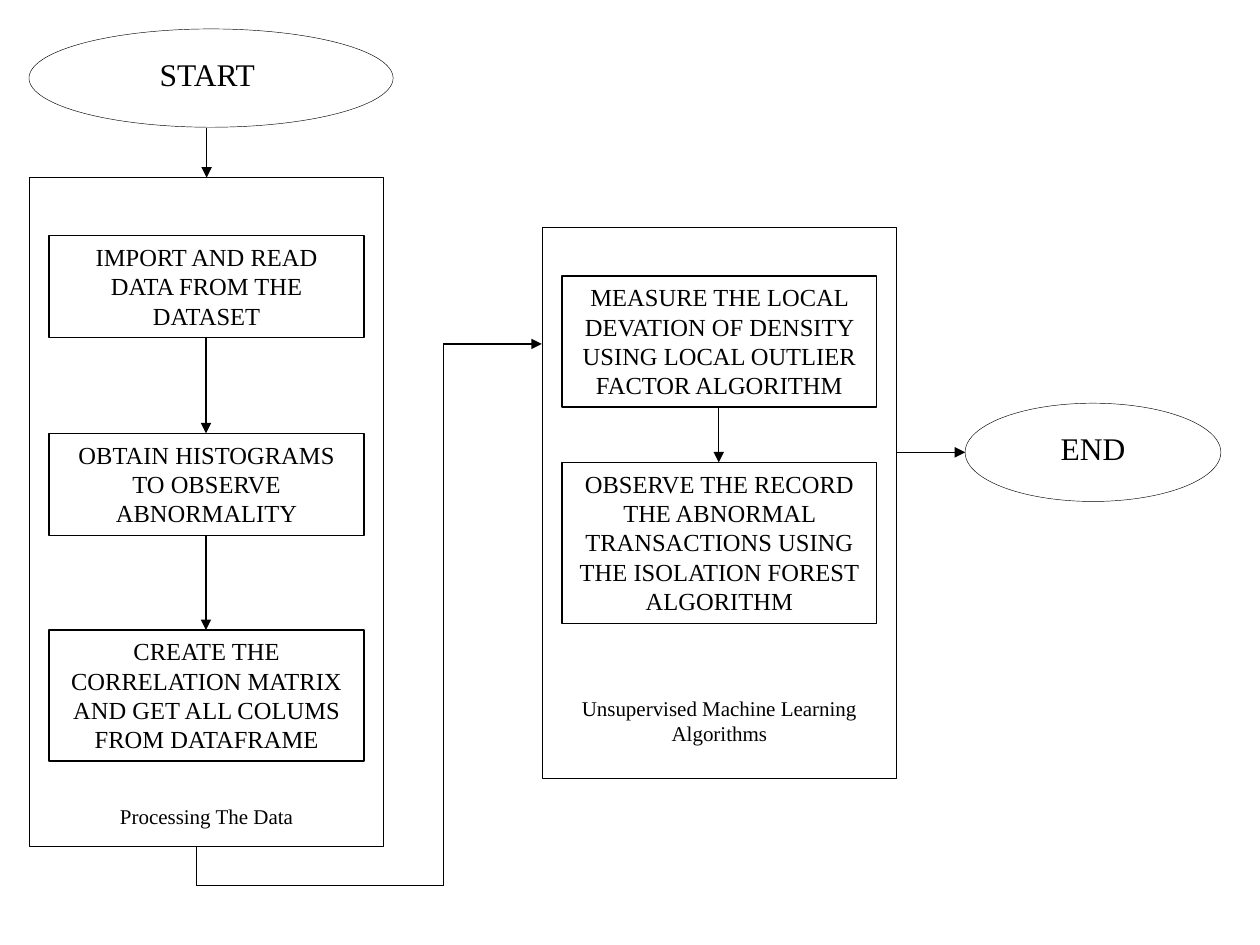
from dataclasses import dataclass
from itertools import pairwise
from lxml.etree import SubElement
from pptx import Presentation
from pptx.dml.color import RGBColor
from pptx.enum.shapes import MSO_CONNECTOR, MSO_SHAPE
from pptx.enum.text import MSO_ANCHOR, PP_ALIGN
from pptx.oxml.ns import qn
from pptx.util import Inches, Pt


@dataclass(frozen=True)
class Theme:
    """Colours, font, type sizes and line widths."""
    ink: RGBColor = RGBColor(0, 0, 0)
    font: str = "Times New Roman"
    end: int = 18
    step: int = 14
    note: int = 12
    thin: float = 0.25
    line: float = 0.75


THEME = Theme()
PAD = 0.16
STEP_W = 2.5


def write(shape, text, size):
    """Put centred text at the top of a shape."""
    frame = shape.text_frame
    frame.word_wrap = True
    frame.vertical_anchor = MSO_ANCHOR.TOP
    para = frame.paragraphs[0]
    para.alignment = PP_ALIGN.CENTER
    run = para.add_run()
    run.text = text
    run.font.name = THEME.font
    run.font.size = Pt(size)
    run.font.color.rgb = THEME.ink


def outline(slide, kind, box, width):
    """Draw an unfilled shape with a black line."""
    shape = slide.shapes.add_shape(kind, *map(Inches, box))
    shape.shadow.inherit = False
    shape.fill.background()
    shape.line.color.rgb = THEME.ink
    shape.line.width = Pt(width)
    return shape


def label(slide, box, text, size):
    """Add a centred text box."""
    write(slide.shapes.add_textbox(*map(Inches, box)), text, size)


def route(slide, *points):
    """Join points with straight lines; the last one has an arrowhead."""
    for start, stop in pairwise(points):
        line = slide.shapes.add_connector(
            MSO_CONNECTOR.STRAIGHT, *map(Inches, start + stop))
        line.line.color.rgb = THEME.ink
        line.line.width = Pt(THEME.line)
        props = line._element.spPr
        if stop == points[-1]:
            SubElement(props.find(qn("a:ln")), qn("a:tailEnd"), type="triangle")
        SubElement(props, qn("a:effectLst"))


def oval(slide, box, text, inset):
    """Draw a start or end oval with its label."""
    left, top, _, _ = box
    outline(slide, MSO_SHAPE.OVAL, box, THEME.thin)
    label(slide, (left + inset, top + PAD, 1.25, 0.4), text, THEME.end)


def panel(slide, box, steps, note, drop, tall):
    """Draw a stage: its frame, linked steps and a note, from its box."""
    left, top, width, _ = box
    outline(slide, MSO_SHAPE.RECTANGLE, box, THEME.thin)
    mid = left + width / 2
    last = None
    for text, down, height in steps:
        y = top + down
        part = outline(slide, MSO_SHAPE.RECTANGLE,
                       (left + PAD, y, STEP_W, height), THEME.line)
        write(part, text, THEME.step)
        if last:
            route(slide, (mid, last), (mid, y))
        last = y + height
    label(slide, (left + PAD, top + drop, STEP_W, tall), note, THEME.note)


def build():
    """Build the flow chart slide."""
    deck = Presentation()
    deck.slide_width, deck.slide_height = Inches(10), Inches(7.5)
    slide = deck.slides.add_slide(deck.slide_layouts[6])

    oval(slide, (0.23, 0.23, 2.89, 0.78), "START", 0.79)
    panel(slide, (0.23, 1.41, 2.81, 5.31), [
        ("IMPORT AND READ DATA FROM THE DATASET", 0.46, 0.81),
        ("OBTAIN HISTOGRAMS TO OBSERVE ABNORMALITY", 2.03, 0.81),
        ("CREATE THE CORRELATION MATRIX AND GET ALL COLUMS FROM DATAFRAME",
         3.59, 1.04),
    ], "Processing The Data", 4.92, 0.3)
    panel(slide, (4.3, 1.8, 2.81, 4.38), [
        ("MEASURE THE LOCAL DEVATION OF DENSITY USING LOCAL OUTLIER FACTOR "
         "ALGORITHM", 0.39, 1.04),
        ("OBSERVE THE RECORD THE ABNORMAL TRANSACTIONS USING THE ISOLATION "
         "FOREST ALGORITHM", 1.87, 1.28),
    ], "Unsupervised Machine Learning Algorithms", 3.67, 0.5)
    oval(slide, (7.66, 3.2, 2.03, 0.78), "END", 0.39)

    route(slide, (1.64, 1.02), (1.64, 1.41))
    route(slide, (1.56, 6.72), (1.56, 7.03), (3.52, 7.03), (3.52, 2.73),
          (4.3, 2.73))
    route(slide, (7.11, 3.59), (7.66, 3.59))
    deck.save("out.pptx")


build()
